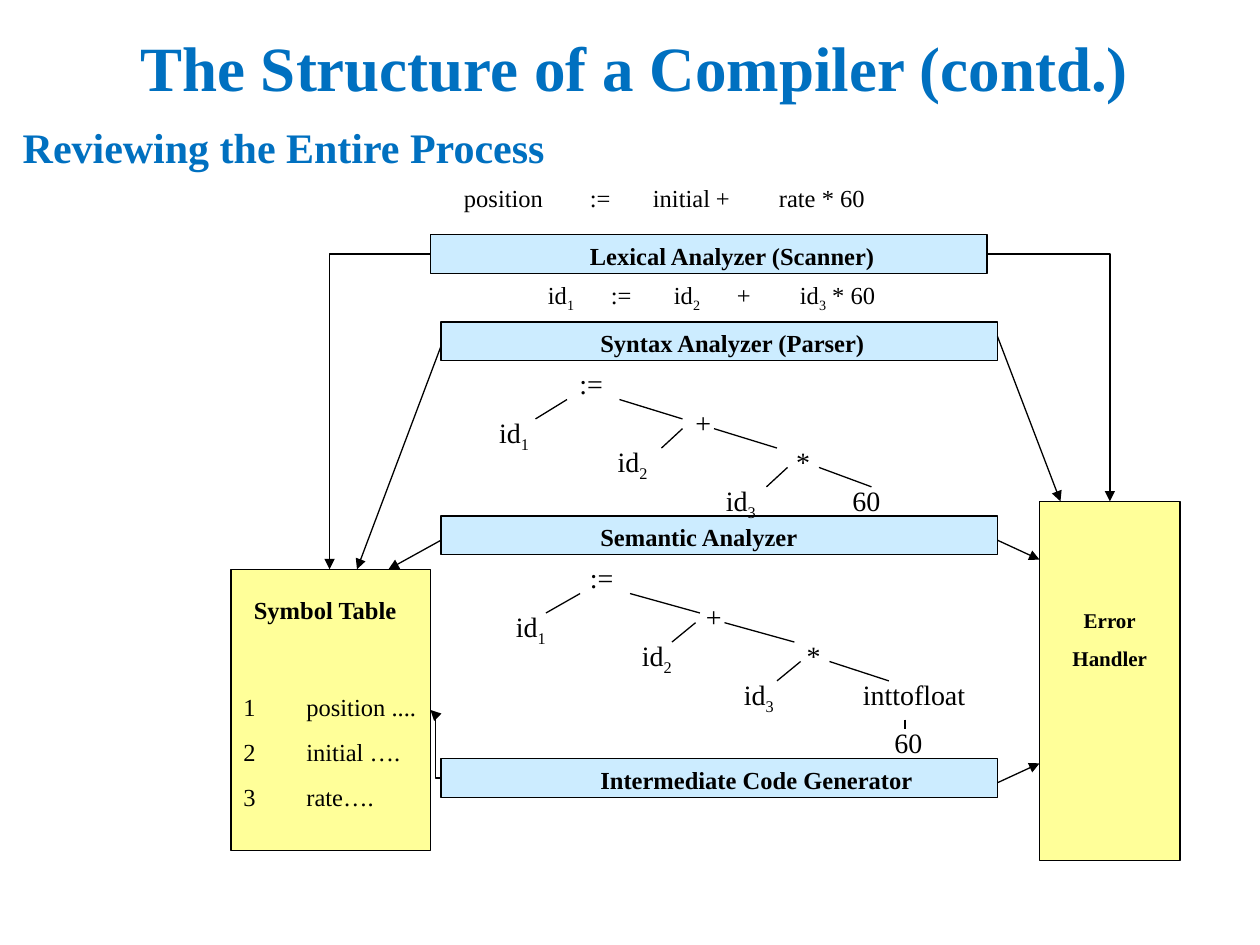
from dataclasses import dataclass

from lxml import etree
from pptx import Presentation
from pptx.dml.color import RGBColor
from pptx.enum.shapes import MSO_CONNECTOR, MSO_SHAPE
from pptx.enum.text import MSO_ANCHOR, MSO_AUTO_SIZE, PP_ALIGN
from pptx.oxml.ns import qn
from pptx.util import Inches, Pt

STRAIGHT, ELBOW = MSO_CONNECTOR.STRAIGHT, MSO_CONNECTOR.ELBOW
RECTANGLE = MSO_SHAPE.RECTANGLE
LEFT, CENTER = PP_ALIGN.LEFT, PP_ALIGN.CENTER
MIDDLE, TOP = MSO_ANCHOR.MIDDLE, MSO_ANCHOR.TOP
GROW, FIXED = MSO_AUTO_SIZE.SHAPE_TO_FIT_TEXT, MSO_AUTO_SIZE.NONE


@dataclass(frozen=True)
class Theme:
    font: str = "Times New Roman"
    heading: str = "0070C0"
    ink: str = "000000"
    stage: str = "CCECFF"
    store: str = "FFFF99"
    heading_size: int = 36
    title_size: int = 24
    tree_size: int = 16
    body_size: int = 14
    small_size: int = 12
    line: float = 0.75


THEME = Theme()
WIDTH, HEIGHT = 10, 7.5
COLUMN = WIDTH / 120
ROW, FIRST_ROW = 0.077, 1.4

HEADING = "The Structure of a Compiler (contd.)"
TITLE = "Reviewing the Entire Process"
STAGES = [
    ("Lexical Analyzer (Scanner)", 41, 6),
    ("Syntax Analyzer (Parser)", 42, 15),
    ("Semantic Analyzer", 42, 35),
    ("Intermediate Code Generator", 42, 60),
]
STATEMENTS = [
    ("position\t:=\tinitial\t+\trate * 60", 43, 0, 4.4, (0.77, 1.08, 1.64, 1.84)),
    ("\tid_1\t:=\tid_2\t+\tid_3 * 60", 45, 10, 4.8, (0.39, 0.7, 1.01, 1.32, 1.52)),
]
STORES = [(22, 40.5, 19, 29), (99, 33.5, 13.4, 37)]
SYMBOL_TITLE = "Symbol Table"
SYMBOLS = "1\tposition ....\n2\tinitial ….\n3\trate…."
ERRORS = "Error\nHandler"

OPERATORS = [(":=", 54, 19, 0), ("+", 63, 23, 0.17), ("*", 72, 27, 0.22)]
LEFT_EDGES = [(54, 51, 23), (65, 63, 26), (75, 73, 30)]
RIGHT_EDGES = [(59, 65, 23), (68, 74, 26), (78, 83, 30)]
TREES = [
    dict(shift=(0, 0), widths=(8, 15), stretch=(0, 0), indents=(0.28, 0.22, 0.33),
         last=[("60", 80, 31, 8)]),
    dict(shift=(1, 20), widths=(9, 17), stretch=(0.25, 0.66), indents=(0.33, 0.33, 0.39),
         last=[("inttofloat", 80, 31, 16), ("60", 83, 36, 10)]),
]
LEAVES = [("id_1", 43, 24), ("id_2", 55, 27), ("id_3", 64, 31)]
LAST_EDGE = ((86.2, 56), (86.2, 57))

ARROWS = [
    ((42, 17.5), (34, 40.5)),
    ((42, 37.5), (37, 40.5)),
    ((95, 62.5), (99, 60.5)),
    ((95, 37.5), (99, 39.5)),
    ((95, 16.5), (101, 33.5)),
]
ELBOWS = [
    ((41, 8), (31.4, 40.5), "bentConnector2"),
    ((42, 62), (41, 55), "bentConnector3"),
    ((94, 8), (105.7, 33.5), "bentConnector2"),
]


def point(column, row):
    return Inches(column * COLUMN), Inches(FIRST_ROW + row * ROW)


def area(column, row, columns, rows):
    return *point(column, row), Inches(columns * COLUMN), Inches(rows * ROW)


def write(frame, text, size=THEME.body_size, bold=False, color=THEME.ink, align=LEFT,
          anchor=TOP, fit=GROW, indent=0, before=0, tabs=()):
    frame.word_wrap = True
    frame.auto_size = fit
    frame.vertical_anchor = anchor
    for number, content in enumerate(text.split("\n")):
        paragraph = frame.add_paragraph() if number else frame.paragraphs[0]
        paragraph.alignment = align
        paragraph.space_before = Pt(before)
        properties = paragraph._p.get_or_add_pPr()
        properties.set("marL", str(Inches(indent)))
        properties.set("indent", "0")
        if tabs:
            stops = etree.SubElement(properties, qn("a:tabLst"))
            for stop in tabs:
                etree.SubElement(stops, qn("a:tab"), pos=str(Inches(stop)), algn="l")
        plain, *marked = content.split("_")
        pieces = [(plain, False)]
        for part in marked:
            pieces += [(part[0], True), (part[1:], False)]
        for piece, lowered in pieces:
            if not piece:
                continue
            run = paragraph.add_run()
            run.text = piece
            run.font.name = THEME.font
            run.font.size = Pt(size)
            run.font.bold = bold
            run.font.color.rgb = RGBColor.from_string(color)
            if lowered:
                run.font._element.set("baseline", "-25000")


def label(slide, text, column, row, columns, rows=4.4, **style):
    write(slide.shapes.add_textbox(*area(column, row, columns, rows)).text_frame, text, **style)


def block(slide, place, fill):
    box = slide.shapes.add_shape(RECTANGLE, *area(*place))
    box.shadow.inherit = False
    box.fill.solid()
    box.fill.fore_color.rgb = RGBColor.from_string(fill)
    box.line.color.rgb = RGBColor.from_string(THEME.ink)
    box.line.width = Pt(THEME.line)


def connect(slide, start, end, arrow=False, bend=None):
    link = slide.shapes.add_connector(ELBOW if bend else STRAIGHT, *point(*start), *point(*end))
    link.line.color.rgb = RGBColor.from_string(THEME.ink)
    link.line.width = Pt(THEME.line)
    properties = link._element.spPr
    if bend:
        properties.find(qn("a:prstGeom")).set("prst", bend)
    if arrow:
        etree.SubElement(properties.find(qn("a:ln")), qn("a:tailEnd"), type="triangle")
    etree.SubElement(properties, qn("a:effectLst"))


def draw_tree(slide, shift, widths, stretch, indents, last):
    across, down = shift
    narrow, wide = widths
    left_stretch, right_stretch = stretch
    nodes = [(text, x, y, narrow, indent) for text, x, y, indent in OPERATORS]
    nodes += [(*leaf, wide, indent) for leaf, indent in zip(LEAVES, indents)]
    nodes += [(*node, 0) for node in last]
    for text, x, y, columns, indent in nodes:
        label(slide, text, x + across, y + down, columns, 4.8,
              size=THEME.tree_size, indent=indent, before=10)
    edges = [(x + left_stretch, end, y) for x, end, y in LEFT_EDGES]
    edges += [(x, end + right_stretch, y) for x, end, y in RIGHT_EDGES]
    for x, end, y in edges:
        connect(slide, (x + across, y + down), (end + across, y + down + 2))


def main():
    deck = Presentation()
    deck.slide_width, deck.slide_height = Inches(WIDTH), Inches(HEIGHT)
    slide = deck.slides.add_slide(deck.slide_layouts[5])

    title = slide.shapes.title
    title.left, title.top, title.width, title.height = map(Inches, (0.08, 0.95, 8.5, 0.43))
    write(title.text_frame, TITLE, size=THEME.title_size, bold=True,
          color=THEME.heading, anchor=MIDDLE, fit=FIXED)
    heading = slide.shapes.add_textbox(*map(Inches, (0.6, 0.17, 8.87, 0.71)))
    write(heading.text_frame, HEADING, size=THEME.heading_size, bold=True,
          color=THEME.heading, align=CENTER, anchor=MIDDLE, fit=FIXED)

    for place in STORES:
        block(slide, place, THEME.store)
    label(slide, SYMBOL_TITLE, 23, 42.5, 17.5, bold=True, before=8.8)
    label(slide, SYMBOLS, 22, 52.5, 19, 13.6, before=8.8, tabs=(0.29,))
    label(slide, ERRORS, 99.6, 43.75, 12.2, 8, size=THEME.small_size,
          bold=True, align=CENTER, before=7.5)

    for text, column, row in STAGES:
        block(slide, (column, row, 53, 4), THEME.stage)
        label(slide, text, column + 2, row, 49, bold=True, indent=1, before=8.8)
    for text, column, row, rows, tabs in STATEMENTS:
        label(slide, text, column, row, 46, rows, before=8.8, tabs=tabs)

    for tree in TREES:
        draw_tree(slide, **tree)
    connect(slide, *LAST_EDGE)
    for start, end in ARROWS:
        connect(slide, start, end, arrow=True)
    for start, end, bend in ELBOWS:
        connect(slide, start, end, arrow=True, bend=bend)

    deck.save("out.pptx")


if __name__ == "__main__":
    main()
